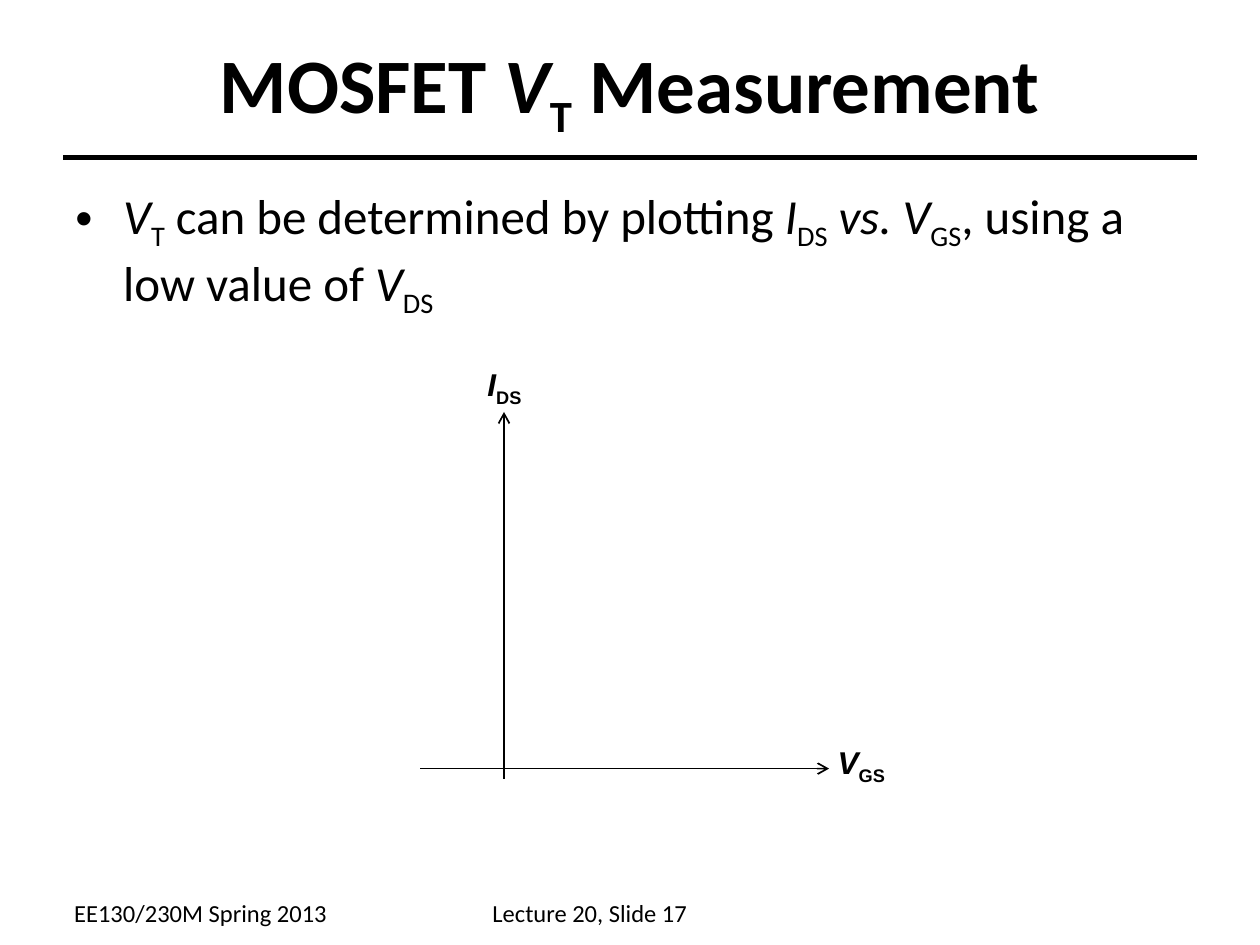
from lxml.etree import SubElement
from pptx import Presentation
from pptx.dml.color import RGBColor
from pptx.enum.shapes import MSO_CONNECTOR as CONNECTOR
from pptx.enum.text import MSO_ANCHOR as ANCHOR, MSO_AUTO_SIZE as AUTO_SIZE, PP_ALIGN as ALIGN
from pptx.oxml.ns import qn
from pptx.util import Inches, Pt

BLACK = "000000"
PLAIN, ITALIC, SUB = "plain", "italic", "subscript"

TITLE = [("MOSFET ", PLAIN), ("V", ITALIC), ("T", SUB), (" Measurement", PLAIN)]
BULLET = [
    ("V", ITALIC), ("T", SUB), (" can be determined by plotting ", PLAIN),
    ("I", ITALIC), ("DS", SUB), (" vs. V", ITALIC), ("GS", SUB),
    (", using a low value of ", PLAIN), ("V", ITALIC), ("DS", SUB),
]
AXIS_LABELS = [
    ((3.77, 2.85, 0.53, 0.44), [("I", ITALIC), ("DS", SUB)]),
    ((6.55, 5.85, 0.65, 0.44), [("V", ITALIC), ("GS", SUB)]),
]
FOOTERS = [
    ((0.49, 7.08, 2.3, 0.34), [("EE130/230M Spring 2013", PLAIN)]),
    ((3.81, 7.08, 2.37, 0.34), [("Lecture 20, Slide 17", PLAIN)]),
]
RULE = ((0.5, 1.25), (9.5, 1.25))
AXES = [((4, 3.27), (4, 6.18)), ((6.58, 6.1), (3.33, 6.1))]


def color(value):
    return RGBColor.from_string(value)


def write(paragraph, pieces, size, font="Calibri", bold=False):
    for text, style in pieces:
        run = paragraph.add_run()
        run.text = text
        run.font.name = font
        run.font.size = Pt(size)
        run.font.bold = bold
        run.font.italic = style == ITALIC
        run.font.color.rgb = color(BLACK)
        if style == SUB:
            run.font._element.set("baseline", "-25000")


def add_text(slide, box, pieces, size, **style):
    shape = slide.shapes.add_textbox(*map(Inches, box))
    frame = shape.text_frame
    frame.word_wrap = True
    frame.auto_size = AUTO_SIZE.NONE
    write(frame.paragraphs[0], pieces, size, **style)
    return frame.paragraphs[0]


def add_line(slide, start, end, width, arrow=False):
    points = map(Inches, (*start, *end))
    connector = slide.shapes.add_connector(CONNECTOR.STRAIGHT, *points)
    connector.line.color.rgb = color(BLACK)
    connector.line.width = Pt(width)
    if arrow:
        line = connector.line._get_or_add_ln()
        SubElement(line, qn("a:headEnd"), type="arrow")
    SubElement(connector._element.spPr, qn("a:effectLst"))


def add_bullet(paragraph, indent):
    properties = paragraph._p.get_or_add_pPr()
    properties.set("marL", str(Inches(indent)))
    properties.set("indent", str(-Inches(indent)))
    SubElement(properties, qn("a:buFont"), typeface="Arial")
    SubElement(properties, qn("a:buChar"), char="•")


def main():
    presentation = Presentation()
    presentation.slide_width, presentation.slide_height = Inches(10), Inches(7.5)
    slide = presentation.slides.add_slide(presentation.slide_layouts[5])

    add_line(slide, *RULE, 3)
    title = slide.shapes.title
    title.left, title.top, title.width, title.height = map(Inches, (0.5, 0.08, 9, 1.25))
    title.text_frame.vertical_anchor = ANCHOR.MIDDLE
    heading = title.text_frame.paragraphs[0]
    heading.alignment = ALIGN.CENTER
    write(heading, TITLE, 44, bold=True)

    body = add_text(slide, (0.5, 1.42, 9, 5.28), BULLET, 28)
    add_bullet(body, 0.38)

    for start, end in AXES:
        add_line(slide, start, end, 1, arrow=True)
    for box, pieces in AXIS_LABELS:
        add_text(slide, box, pieces, 18, font="Arial", bold=True)
    for box, pieces in FOOTERS:
        add_text(slide, box, pieces, 14)

    presentation.save("out.pptx")


if __name__ == "__main__":
    main()
